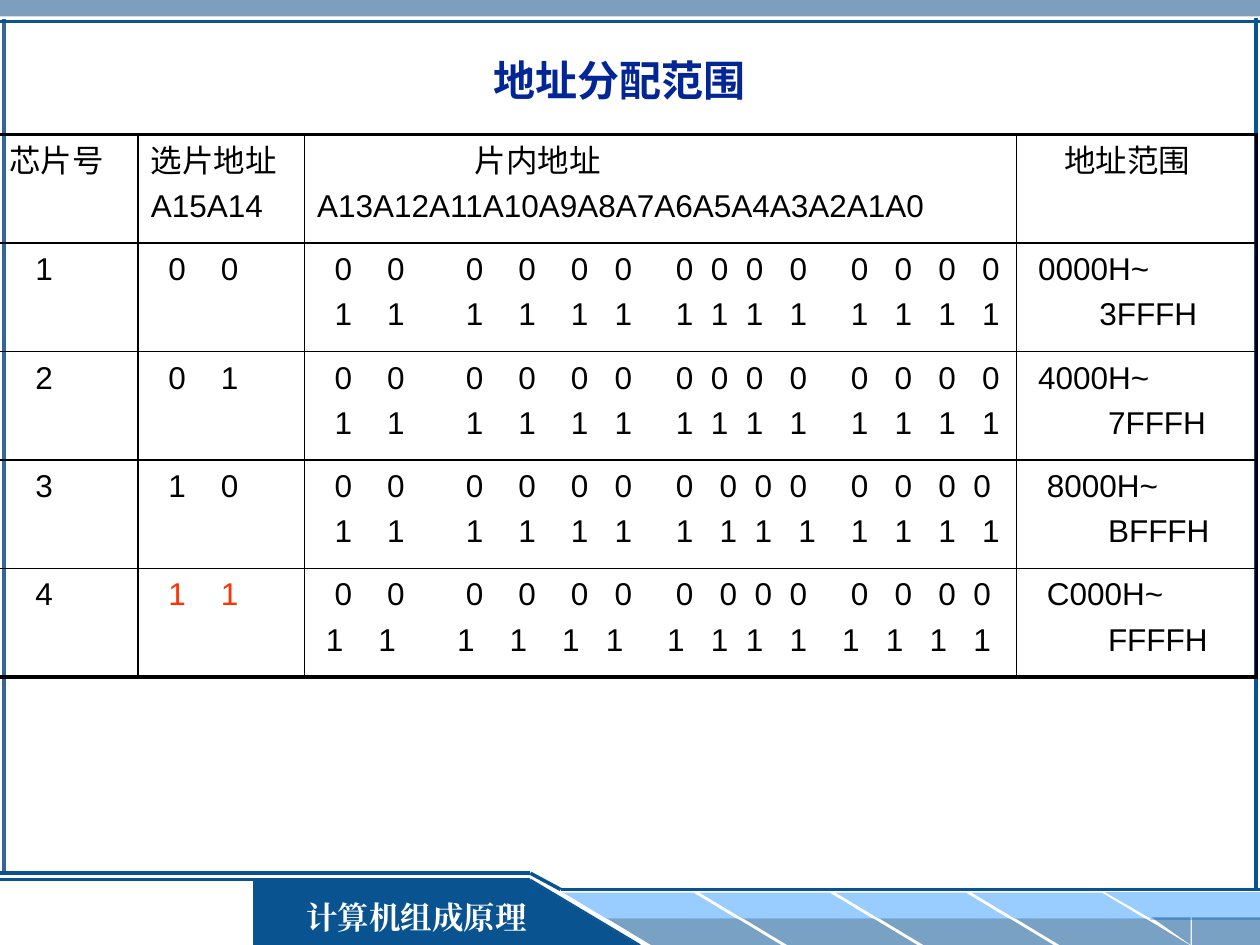
import pptx
import pptx.dml.color
import pptx.enum.shapes
import pptx.enum.text
import pptx.oxml.ns
import pptx.util
from lxml import etree

Pt = pptx.util.Pt
RGBColor = pptx.dml.color.RGBColor
MSO_SHAPE = pptx.enum.shapes.MSO_SHAPE
PP_ALIGN = pptx.enum.text.PP_ALIGN
MSO_ANCHOR = pptx.enum.text.MSO_ANCHOR
qn = pptx.oxml.ns.qn

STEEL = RGBColor(0x33, 0x66, 0x99)
BLUE = RGBColor(0x09, 0x53, 0x91)
SKY = RGBColor(0x99, 0xCC, 0xFF)
NAVY = RGBColor(0x03, 0x26, 0x97)
BLACK = RGBColor(0, 0, 0)
RED = RGBColor(0xFF, 0x33, 0x00)
WHITE = RGBColor(0xFF, 0xFF, 0xFF)

SPACE_WIDTH = 5
DIGIT_WIDTH = 10

deck = pptx.Presentation()
deck.slide_width, deck.slide_height = Pt(720), Pt(540)
slide = deck.slides.add_slide(deck.slide_layouts[6])


def add_block(preset, left, top, width, height, color, alpha=100, flips=()):
    block = slide.shapes.add_shape(preset, Pt(left), Pt(top), Pt(width), Pt(height))
    block.shadow.inherit = False
    block.line.fill.background()
    block.fill.solid()
    block.fill.fore_color.rgb = color
    if alpha < 100:
        tint = block.element.spPr.find(qn("a:solidFill"))[0]
        etree.SubElement(tint, qn("a:alpha"), val=str(alpha * 1000))
    for flip in flips:
        block.element.spPr.xfrm.set(flip, "1")
    return block


def add_text(paragraph, text, font, size, color, bold=False):
    run = paragraph.add_run()
    run.text = text
    run.font.name = font
    run.font.size = Pt(size)
    run.font.bold = bold
    run.font.color.rgb = color
    etree.SubElement(run.font._element, qn("a:ea"), typeface=font)


add_block(MSO_SHAPE.RECTANGLE, 0, 0, 720, 9.4, STEEL, 63)
add_block(MSO_SHAPE.RECTANGLE, 144.7, 502.6, 158.4, 37.4, BLUE)

for step in range(4):
    left = 321.8 + 77.8 * step
    for shift, top, color, alpha in [(0, 510, SKY, 100), (25.2, 524.9, BLUE, 54)]:
        stripe = add_block(MSO_SHAPE.PARALLELOGRAM, left + shift, top, 99.4, 15.1,
                           color, alpha, ["flipH"])
        stripe.adjustments[0] = 1.66

for top, height, color, alpha, corner, corner_width, bar in [
    (509.8, 15.8, SKY, 100, 631.4, 27.4, 657.4),
    (524.2, 15.8, BLUE, 54, 658.1, 22.3, 681.1),
]:
    add_block(MSO_SHAPE.RECTANGLE, bar, top, 720 - bar, height, color, alpha)
    add_block(MSO_SHAPE.RIGHT_TRIANGLE, corner, top, corner_width, height,
              color, alpha, ["flipH", "flipV"])

add_block(MSO_SHAPE.RIGHT_TRIANGLE, 302.4, 502.6, 62.6, 37.4, BLUE)

for x1, y1, x2, y2, color, weight in [
    (2.2, 10.8, 2.2, 499, STEEL, 2),
    (365.8, 540, 303.1, 502.6, BLUE, 1),
    (303.1, 502.6, 0, 502.6, BLUE, 1.5),
    (-0.7, 499, 303.1, 499, BLUE, 2),
    (303.1, 499, 320.4, 508.3, BLUE, 2),
    (320.4, 508.3, 720, 508.3, BLUE, 2),
    (0, 12.2, 720, 12.2, BLUE, 2),
    (717.8, 10.1, 717.8, 509, BLUE, 2),
]:
    rule = slide.shapes.add_connector(pptx.enum.shapes.MSO_CONNECTOR.STRAIGHT,
                                      Pt(x1), Pt(y1), Pt(x2), Pt(y2))
    rule.line.color.rgb = color
    rule.line.width = Pt(weight)
    etree.SubElement(rule.element.spPr, qn("a:effectLst"))

for text, left, top, width, height, font, size, color in [
    ("计算机组成原理", 164.2, 509.8, 147.6, 28.8, "Times New Roman", 18, WHITE),
    ("地址分配范围", 48.2, 20.2, 612, 51.1, "Arial", 24, NAVY),
]:
    heading = slide.shapes.add_textbox(Pt(left), Pt(top), Pt(width), Pt(height)).text_frame
    heading.word_wrap = True
    heading.vertical_anchor = MSO_ANCHOR.MIDDLE
    heading.paragraphs[0].alignment = PP_ALIGN.CENTER
    add_text(heading.paragraphs[0], text, font, size, color, True)

EVEN = [2, 4, 7, 4, 4, 3, 5, 2, 2, 3, 5, 3, 3, 3]
TIGHT = EVEN[:7] + [3, 2, 2, 5, 3, 3, 2]
LOOSE = EVEN[:7] + [3, 2, 3, 4, 3, 3, 3]
SHIFTED = [1] + LOOSE[1:]

rows = [[
    [([0], ["芯片号"])],
    [([0], ["选片地址"]), ([0], ["A15A14"])],
    [([18], ["片内地址"]), ([0], ["A13A12A11A10A9A8A7A6A5A4A3A2A1A0"])],
    [([4], ["地址范围"])],
]]
for chip, select, zero_gaps, one_gaps, first, first_gap, last, last_gap in [
    ("1", "00", EVEN, EVEN, "0000H~", 1, "3FFFH", 8),
    ("2", "01", EVEN, EVEN, "4000H~", 1, "7FFFH", 9),
    ("3", "10", TIGHT, LOOSE, "8000H~", 2, "BFFFH", 9),
    ("4", "11", TIGHT, SHIFTED, "C000H~", 2, "FFFFH", 9),
]:
    rows.append([
        [([3], [chip])],
        [([2, 4], select)],
        [(zero_gaps, "0" * 14), (one_gaps, "1" * 14)],
        [([first_gap], [first]), ([last_gap], [last])],
    ])

column_widths = [81, 95, 407, 137]
row_height = 62
address_map = slide.shapes.add_table(len(rows), len(column_widths), Pt(-2), Pt(77),
                                     Pt(sum(column_widths)), Pt(row_height * len(rows))).table
address_map.first_row = False
address_map.horz_banding = False
for column, width in zip(address_map.columns, column_widths):
    column.width = Pt(width)

for r, row in enumerate(rows):
    address_map.rows[r].height = Pt(row_height)
    for c, lines in enumerate(row):
        cell = address_map.cell(r, c)
        cell.margin_top = Pt(5)
        borders = {
            "a:lnL": 1 if c else 0,
            "a:lnR": 2.25 if c == len(column_widths) - 1 else 1,
            "a:lnT": 1 if r else 2.25,
            "a:lnB": 2.25 if r == len(rows) - 1 else 1,
        }
        for side, weight in borders.items():
            border = etree.SubElement(cell._tc.get_or_add_tcPr(), qn(side), w=str(Pt(weight)))
            if weight:
                paint = etree.SubElement(border, qn("a:solidFill"))
                etree.SubElement(paint, qn("a:srgbClr"), val=str(BLACK))
            else:
                etree.SubElement(border, qn("a:noFill"))
        cell.fill.background()

        for n, (gaps, words) in enumerate(lines):
            paragraph = cell.text_frame.add_paragraph() if n else cell.text_frame.paragraphs[0]
            if n:
                paragraph.space_before = Pt(5.6)
            layout = paragraph._p.get_or_add_pPr()
            if len(words) == 1:
                layout.set("marL", str(Pt(gaps[0] * SPACE_WIDTH)))
                text = words[0]
            else:
                stops = etree.SubElement(layout, qn("a:tabLst"))
                position = 0
                for gap in gaps:
                    position += gap * SPACE_WIDTH
                    etree.SubElement(stops, qn("a:tab"), pos=str(Pt(position)), algn="l")
                    position += DIGIT_WIDTH
                text = "".join("\t" + digit for digit in words)
            add_text(paragraph, text, "Arial", 18, RED if (r, c) == (4, 1) else BLACK)

deck.save("out.pptx")
